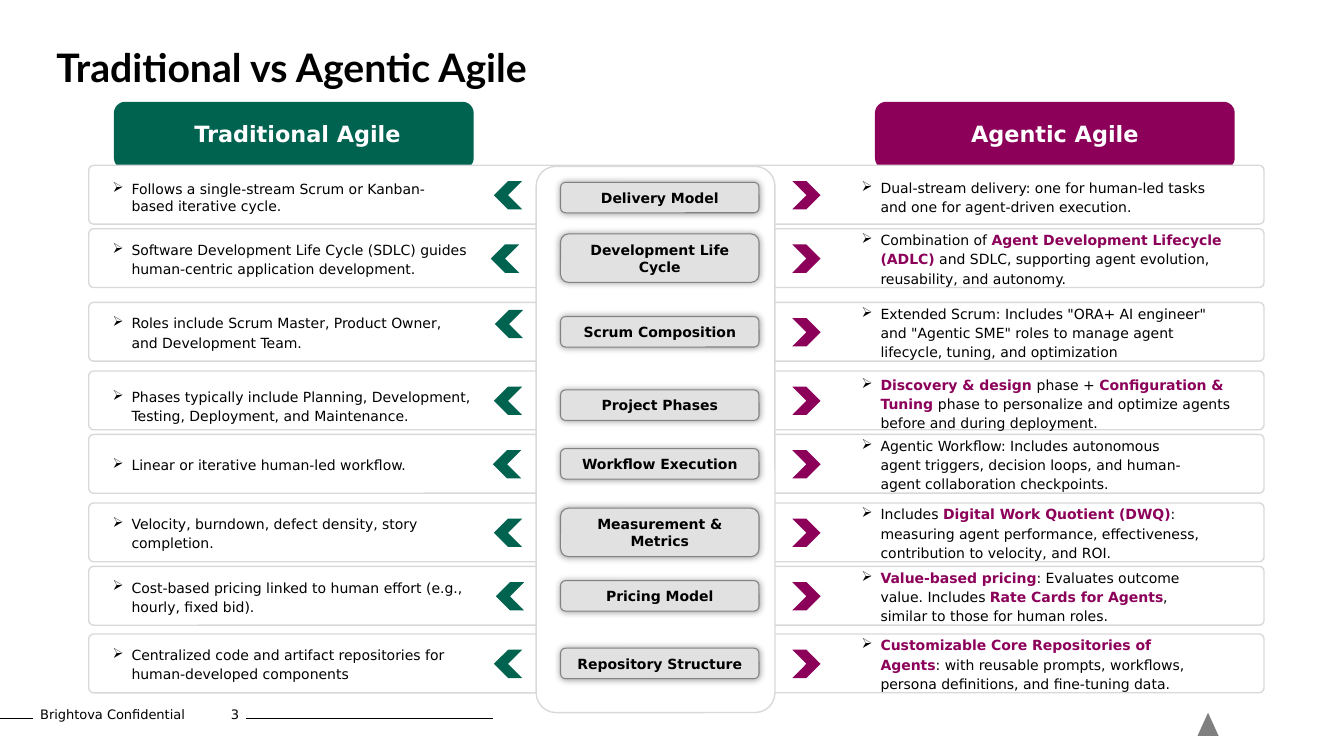
import dataclasses
import pptx
import pptx.util
import pptx.dml.color
import pptx.enum.shapes
import pptx.enum.text
import pptx.oxml
import pptx.oxml.ns
from lxml import etree

Pt = pptx.util.Pt
Shape = pptx.enum.shapes.MSO_SHAPE
Align = pptx.enum.text.PP_ALIGN
qn = pptx.oxml.ns.qn


@dataclasses.dataclass(frozen=True)
class Theme:
    green: str = "006350"
    plum: str = "8C005A"
    black: str = "000000"
    white: str = "FFFFFF"
    gray: str = "808080"
    edge: str = "D9D9D9"
    pill: str = "E1E1E1"
    rim: str = "828282"
    head: str = "Lato"
    body: str = "DejaVu Sans"
    title: float = 28
    banner: float = 16
    text: float = 10
    foot: float = 9.3


@dataclasses.dataclass
class Row:
    top: float
    label: str
    old: str
    new: str
    tall: float = 21.8
    drop: float = 0
    shift: float = 0
    lift: float = 0
    wide: float = 265
    span: float = 265
    count: int = 2
    depth: int = 3
    lead: float = 1.15


T = Theme()
HIGH = 42
ROWS = [
    Row(118.1, "Delivery Model",
        "Follows a single-stream Scrum or Kanban-based iterative cycle.",
        "Dual-stream delivery: one for human-led tasks and one for agent-driven execution.",
        drop=2, depth=2, lead=1),
    Row(163.4, "Development Life Cycle",
        "Software Development Life Cycle (SDLC) guides human-centric application development.",
        "Combination of *Agent Development Lifecycle (ADLC)* and SDLC, supporting agent evolution, reusability, and autonomy.",
        tall=34.6, shift=-2.2, wide=279.4, span=281.5),
    Row(216, "Scrum Composition",
        "Roles include Scrum Master, Product Owner, and Development Team.",
        'Extended Scrum: Includes "ORA+ AI engineer" and "Agentic SME" roles to manage agent lifecycle, tuning, and optimization',
        shift=0.7, lift=-5.8, span=281.5),
    Row(265, "Project Phases",
        "Phases typically include Planning, Development, Testing, Deployment, and Maintenance.",
        "*Discovery & design *phase + *Configuration & Tuning *phase to personalize and optimize agents before and during deployment.",
        drop=3.4, wide=293.8, span=280),
    Row(310.3, "Workflow Execution",
        "Linear or iterative human-led workflow.",
        "Agentic Workflow: Includes autonomous agent triggers, decision loops, and human-agent collaboration checkpoints.",
        shift=-0.7, count=1, span=247),
    Row(359.3, "Measurement & Metrics",
        "Velocity, burndown, defect density, story completion.",
        "Includes *Digital Work Quotient (DWQ)*: measuring agent performance, effectiveness, contribution to velocity, and ROI.",
        tall=34.6),
    Row(404.6, "Pricing Model",
        "Cost-based pricing linked to human effort (e.g., hourly, fixed bid).",
        "*Value-based pricing*: Evaluates outcome value. Includes *Rate Cards for Agents*, similar to those for human roles.",
        shift=1.4),
    Row(452.9, "Repository Structure",
        "Centralized code and artifact repositories for human-developed components",
        "*Customizable Core Repositories of Agents*: with reusable prompts, workflows, persona definitions, and fine-tuning data."),
]


def tint(code):
    return pptx.dml.color.RGBColor.from_string(code)


def block(slide, kind, box, fill, edge=None, width=1, bend=None):
    shape = slide.shapes.add_shape(kind, *[Pt(n) for n in box])
    shape.shadow.inherit = False
    shape.fill.solid()
    shape.fill.fore_color.rgb = tint(fill)
    if edge:
        shape.line.color.rgb = tint(edge)
        shape.line.width = Pt(width)
    else:
        shape.line.fill.background()
    if bend is not None:
        shape.adjustments[0] = bend
    return shape


def setup(frame, pad=True):
    frame.word_wrap = True
    frame.vertical_anchor = pptx.enum.text.MSO_ANCHOR.MIDDLE
    if not pad:
        frame.margin_left = frame.margin_right = 0
        frame.margin_top = frame.margin_bottom = 0
    return frame.paragraphs[0]


def note(slide, box, pad=True):
    return setup(slide.shapes.add_textbox(*[Pt(n) for n in box]).text_frame, pad)


def write(para, words, size, color=T.black, bold=False, face=T.body, align=Align.LEFT):
    para.alignment = align
    run = para.add_run()
    run.text = words
    run.font.name = face
    run.font.size = Pt(size)
    run.font.bold = bold
    run.font.color.rgb = tint(color)


def point(slide, box, words, lead=1.15):
    para = note(slide, box)
    props = para._p.get_or_add_pPr()
    props.set("marL", str(Pt(13.5)))
    props.set("indent", str(-Pt(13.5)))
    shade = etree.SubElement(props, qn("a:buClr"))
    etree.SubElement(shade, qn("a:srgbClr"), val=T.black)
    etree.SubElement(props, qn("a:buChar"), char="➢")
    para.line_spacing = lead
    for i, part in enumerate(words.split("*")):
        if part:
            strong = i % 2 == 1
            write(para, part, T.text, T.plum if strong else T.black, strong)


def glow(shape):
    props = shape._element.spPr
    list_ = props.find(qn("a:effectLst"))
    outer = etree.SubElement(list_, qn("a:outerShdw"), blurRad=str(Pt(5)), dist="0", dir="0")
    color = etree.SubElement(outer, qn("a:srgbClr"), val=T.black)
    etree.SubElement(color, qn("a:alpha"), val="40000")


def banner(slide, box, words, fill, shift=0):
    x, y, w, h = box
    block(slide, Shape.ROUNDED_RECTANGLE, box, fill)
    para = note(slide, (x + 19 + shift, y + 9, 219, 27))
    write(para, words, T.banner, T.white, True, align=Align.CENTER)


def compare(slide, box, row):
    x, y, w, h = box
    mid = y + h / 2
    pill = block(slide, Shape.ROUNDED_RECTANGLE,
                 (x + 337, mid + row.drop - row.tall / 2, 141.8, row.tall),
                 T.pill, T.rim, 0.75)
    glow(pill)
    write(setup(pill.text_frame), row.label, T.text, bold=True, align=Align.CENTER)
    back = block(slide, Shape.CHEVRON,
                 (x + 289.4 + row.shift, mid - 9.8 + row.lift, 20.2, 20.2), T.green)
    back._element.spPr.xfrm.set("flipH", "1")
    block(slide, Shape.CHEVRON, (x + 502.5, mid - 9.8, 20.2, 20.2), T.plum)
    tall = 7.2 + 13.4 * row.count
    point(slide, (x + 10, mid + row.drop - tall / 2, row.wide, tall), row.old, row.lead)
    tall = 7.2 + 13.4 * row.depth
    point(slide, (x + 545, mid + row.drop / 2 - tall / 2, row.span, tall), row.new)


def grid(slide, box):
    x, y, w, h = box
    for row in ROWS:
        block(slide, Shape.ROUNDED_RECTANGLE, (x, row.top, w, HIGH),
              T.white, T.edge, bend=0.083)
    block(slide, Shape.ROUNDED_RECTANGLE, (x + 319.6, y + 0.7, 170.6, h),
          T.white, T.edge, bend=0.083)
    for row in ROWS:
        compare(slide, (x, row.top, w, HIGH), row)


def footer(slide, box):
    x, y, w, h = box
    write(note(slide, (x + 21.6, y, 131, h)), "Brightova Confidential", T.foot)
    write(note(slide, (x + 141.1, y, 36.7, h)), "3", T.foot, align=Align.RIGHT)
    for start, end in ((0, 23.8), (175.7, 352.1)):
        line = slide.shapes.add_connector(
            pptx.enum.shapes.MSO_CONNECTOR.STRAIGHT,
            Pt(x + start), Pt(y + 12), Pt(x + end), Pt(y + 12))
        line.line.color.rgb = tint(T.black)
        line.line.width = Pt(0.75)
        etree.SubElement(line._element.spPr, qn("a:effectLst"))
    block(slide, Shape.ISOSCELES_TRIANGLE, (x + 855.4, y + 8, 15, 16.5), T.gray)


def main():
    deck = pptx.Presentation()
    deck.slide_width, deck.slide_height = Pt(960), Pt(540)
    slide = deck.slides.add_slide(deck.slide_layouts[6])
    footer(slide, (0, 501.1, 960, 18.7))
    banner(slide, (81.4, 72.7, 257, 48.2), "Traditional Agile", T.green, 2.6)
    banner(slide, (625, 72.7, 257, 48.2), "Agentic Agile", T.plum)
    grid(slide, (63.4, 118.1, 839.5, 390.2))
    write(note(slide, (40.3, 31, 840, 33.8), False), "Traditional vs Agentic Agile",
          T.title, bold=True, face=T.head)
    deck.save("out.pptx")


if __name__ == "__main__":
    main()
